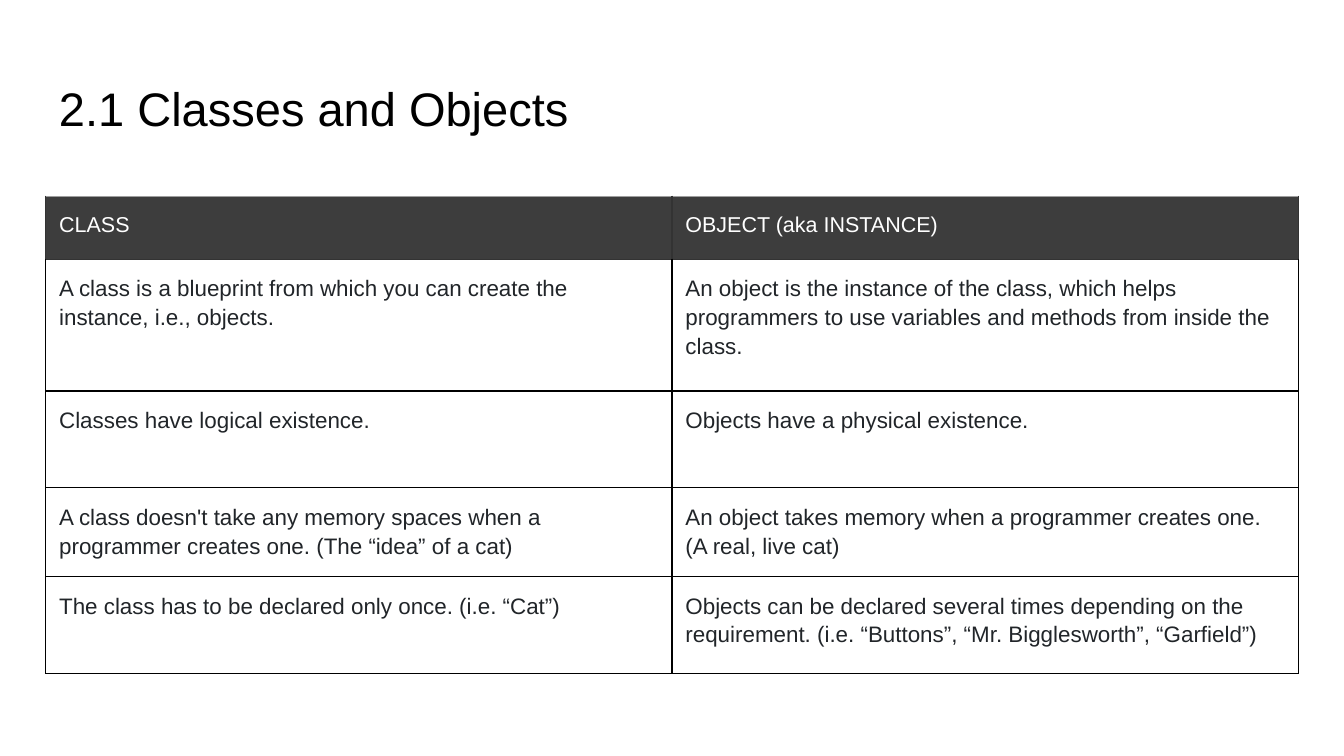
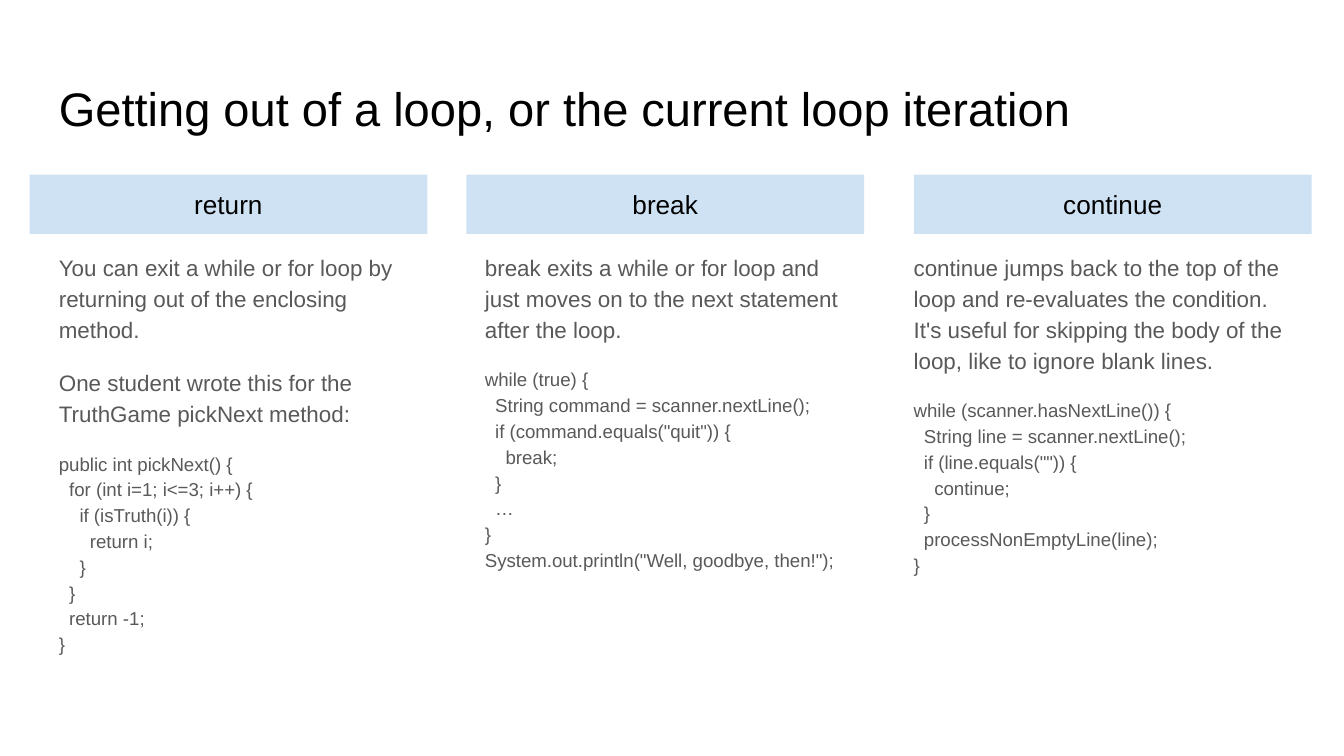
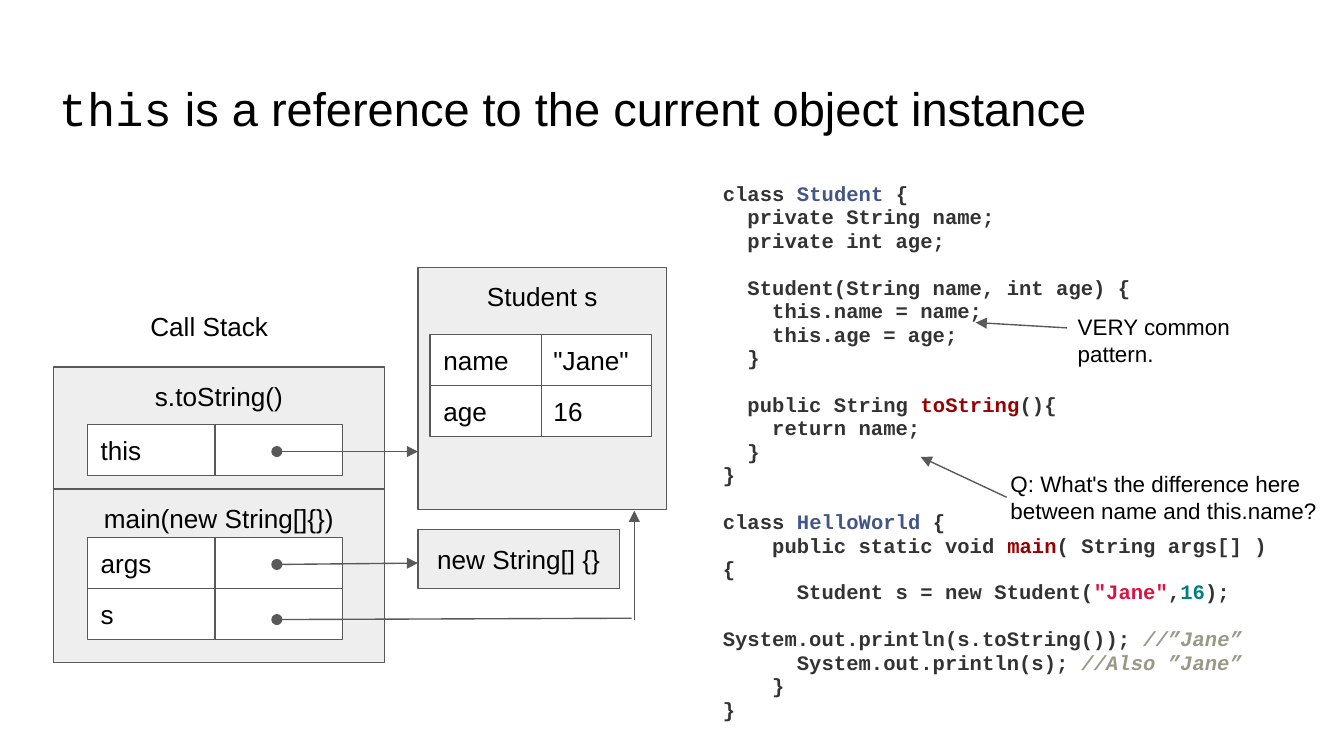
from lxml.etree import SubElement as Sub
from pptx import Presentation
from pptx.dml.color import RGBColor as Rgb
from pptx.enum.shapes import MSO_CONNECTOR as Link, MSO_SHAPE as Form
from pptx.enum.text import MSO_ANCHOR as Anchor, PP_ALIGN as Align
from pptx.oxml.ns import qn
from pptx.util import Emu, Pt

HUES = {
    "black": "000000", "white": "FFFFFF", "head": "3D3D3D", "rim": "333333",
    "top": "9E9E9E", "ink": "212529", "body": "595959", "band": "CFE2F3",
    "box": "EEEEEE", "code": "333333", "type": "445588", "call": "990000",
    "text": "DD1144", "digit": "008080", "note": "999988",
}
SCALE = 9144
WIDE, HIGH = 1000, 562.5
SANS, MONO = "Arial", "Courier New"


def px(num):
    return Emu(int(num * SCALE))


def hue(name):
    return Rgb.from_string(HUES[name])


class Deck:
    def __init__(self):
        self.prs = Presentation()
        self.prs.slide_width, self.prs.slide_height = px(WIDE), px(HIGH)
        self.slide = None

    def page(self, *title):
        self.slide = self.prs.slides.add_slide(self.prs.slide_layouts[6])
        self.label((34, 49, 932, 63), [title], size=25.2)

    def style(self, font, size=None, color=None, face=None, bold=None, italic=None):
        if size:
            font.size = Pt(size)
        if color:
            font.color.rgb = hue(color)
        if face:
            font.name = face
        if bold is not None:
            font.bold = bold
        if italic is not None:
            font.italic = italic

    def put(self, frame, paras, size=14, color="black", face=SANS, bold=None,
            align=None, lead=None, gap=0, after=0, sizes=None):
        frame.word_wrap = True
        frame.margin_left = frame.margin_right = px(10)
        frame.margin_top = frame.margin_bottom = px(10)
        for i, runs in enumerate(paras):
            para = frame.add_paragraph() if i else frame.paragraphs[0]
            para.alignment = align
            para.line_spacing = lead
            para.space_before = Pt(gap if i else 0)
            para.space_after = Pt(after)
            self.style(para.font, sizes[i] if sizes else size, color, face, bold)
            for item in [runs] if isinstance(runs, str) else runs:
                text, look = (item, {}) if isinstance(item, str) else item
                for n, line in enumerate(text.split("\n")):
                    if n:
                        para.add_line_break()
                    if line:
                        run = para.add_run()
                        run.text = line
                        self.style(run.font, **look)

    def label(self, at, paras, **look):
        box = self.slide.shapes.add_textbox(*map(px, at))
        self.put(box.text_frame, paras, **look)

    def rect(self, at, text, fill="box", edge="body", align=Align.CENTER, anchor=Anchor.TOP):
        box = self.slide.shapes.add_shape(Form.RECTANGLE, *map(px, at))
        box.shadow.inherit = False
        box.fill.solid()
        box.fill.fore_color.rgb = hue(fill)
        if edge:
            box.line.color.rgb = hue(edge)
            box.line.width = Pt(0.75)
        else:
            box.line.fill.background()
        box.text_frame.vertical_anchor = anchor
        self.put(box.text_frame, [text], align=align)

    def line(self, ends, head=None, tail=None):
        link = self.slide.shapes.add_connector(Link.STRAIGHT, *map(px, ends))
        link.line.color.rgb = hue("body")
        link.line.width = Pt(0.75)
        props = link.element.spPr
        for tag, kind in (("a:headEnd", head), ("a:tailEnd", tail)):
            if kind:
                Sub(props.find(qn("a:ln")), qn(tag), type=kind)
        Sub(props, qn("a:effectLst"))

    def slot(self, x, y, wide, split, text):
        self.rect((x, y, wide, 38), text, "white", align=Align.LEFT, anchor=Anchor.MIDDLE)
        self.line((split, y, split, y + 38))

    def edge(self, cell, hues):
        props = cell._tc.get_or_add_tcPr()
        for side, name in zip("LRTB", hues):
            line = Sub(props, qn(f"a:ln{side}"), w=str(Pt(0.75)))
            Sub(Sub(line, qn("a:solidFill")), qn("a:srgbClr"), val=HUES[name])

    def table(self, at, highs, rows):
        x, y, wide = at
        grid = self.slide.shapes.add_table(
            len(rows), len(rows[0]), px(x), px(y), px(wide), px(sum(highs))).table
        grid.first_row = grid.horz_banding = False
        for r, texts in enumerate(rows):
            grid.rows[r].height = px(highs[r])
            for c, text in enumerate(texts):
                cell = grid.cell(r, c)
                top = "top" if r == 0 else "rim" if r == 1 else "black"
                rest = "black" if r else "rim"
                self.edge(cell, (rest, rest, top, rest))
                if r:
                    cell.fill.background()
                else:
                    cell.fill.solid()
                    cell.fill.fore_color.rgb = hue("head")
                self.put(cell.text_frame, [text], size=12 if r else 11.5,
                         color="ink" if r else "white", lead=1.15,
                         after=0 if r == 2 else 11)
                cell.margin_left = cell.margin_right = px(10)
                cell.margin_top = cell.margin_bottom = px(10)


def classes(deck):
    deck.page("2.1 Classes and Objects")
    deck.table((34, 146, 932), (47, 98, 72, 47, 72), [
        ("CLASS", "OBJECT (aka INSTANCE)"),
        ("A class is a blueprint from which you can create the instance, i.e., objects.",
         "An object is the instance of the class, which helps programmers to use "
         "variables and methods from inside the class."),
        ("Classes have logical existence.", "Objects have a physical existence."),
        ("A class doesn't take any memory spaces when a programmer creates one. "
         "(The “idea” of a cat)",
         "An object takes memory when a programmer creates one. (A real, live cat)"),
        ("The class has to be declared only once. (i.e. “Cat”)",
         "Objects can be declared several times depending on the requirement. "
         "(i.e. “Buttons”, “Mr. Bigglesworth”, “Garfield”)"),
    ])


def loops(deck):
    deck.page("Getting out of a loop, or the current loop iteration")
    parts = [
        ("return", 22, 34, 287, [
            "You can exit a while or for loop by returning out of the enclosing method.",
            "One student wrote this for the TruthGame pickNext method:",
            """public int pickNext() {
  for (int i=1; i<=3; i++) {
    if (isTruth(i)) {
      return i;
    }
  }
  return -1;
}"""]),
        ("break", 347, 351, 287, [
            "break exits a while or for loop and just moves on to the next statement "
            "after the loop.",
            """while (true) {
  String command = scanner.nextLine();
  if (command.equals("quit")) {
    break;
  }
  …
}
System.out.println("Well, goodbye, then!");"""]),
        ("continue", 680, 670, 296, [
            "continue jumps back to the top of the loop and re-evaluates the condition. "
            "It's useful for skipping the body of the loop, like to ignore blank lines.",
            """while (scanner.hasNextLine()) {
  String line = scanner.nextLine();
  if (line.equals("")) {
    continue;
  }
  processNonEmptyLine(line);
}"""]),
    ]
    for word, left, x, wide, paras in parts:
        sizes = [12] * (len(paras) - 1) + [10]
        deck.label((x, 176, wide, 374), paras, color="body", lead=1.15, gap=12, sizes=sizes)
        deck.rect((left, 130, 296, 44), word, "band", None)


def stack(deck):
    deck.page(("this", {"face": MONO}), " is a reference to the current object instance")
    kind, call = {"color": "type"}, {"color": "call"}
    note = {"color": "note", "italic": True}
    deck.label((528, 126, 437, 374), [
        ["class ", ("Student", kind), """ {
  private String name;
  private int age;"""],
        ["""
  Student(String name, int age) {
    this.name = name;
    this.age = age;
  }

  public String """, ("toString", call), """(){
    return name;
  }
}

class """, ("HelloWorld", kind), """ {
    public static void """, ("main", call), """( String args[] ) {
      Student s = new Student(""", ('"Jane"', {"color": "text"}), ",",
         ("16", {"color": "digit"}), """);
      System.out.println(s.toString()); """, ("//”Jane”\n", note),
         "      System.out.println(s); ", ("//Also ”Jane”\n", note), "    }\n}"],
    ], size=11, color="code", face=MONO, bold=True, lead=0.95)

    for at, text in [
        ((40, 364, 246, 129), "main(new String[]{})"),
        ((40, 273, 246, 91), "s.toString()"),
        ((311, 199, 185, 180), "Student s"),
        ((311, 394, 150, 44), "new String[] {}"),
    ]:
        deck.rect(at, text)
    for y, name in ((316, "this"), (400, "args"), (438, "s")):
        deck.slot(65, y, 190, 160, name)
    for y, name, value in ((249, "name", '"Jane"'), (287, "age", "16")):
        deck.slot(320, y, 165, 403, name)
        deck.label((402, y - 3, 86, 44), [value])

    for ends, head, tail in [
        ((206, 336, 311, 336), "oval", "triangle"),
        ((206, 420, 311, 419), "oval", "triangle"),
        ((206, 461, 470, 460), "oval", None),
        ((472, 461, 472, 380), None, "triangle"),
        ((749, 370, 685, 340), None, "triangle"),
        ((794, 244, 726, 240), None, "triangle"),
    ]:
        deck.line(ends, head, tail)
    deck.label((102, 221, 113, 44), ["Call Stack"])
    deck.label((742, 340, 295, 61),
               ["Q: What's the difference here between name and this.name?"], size=12)
    deck.label((792, 223, 295, 61), ["VERY common", "pattern."], size=12)


def main():
    deck = Deck()
    for build in (classes, loops, stack):
        build(deck)
    deck.prs.save("out.pptx")


if __name__ == "__main__":
    main()
